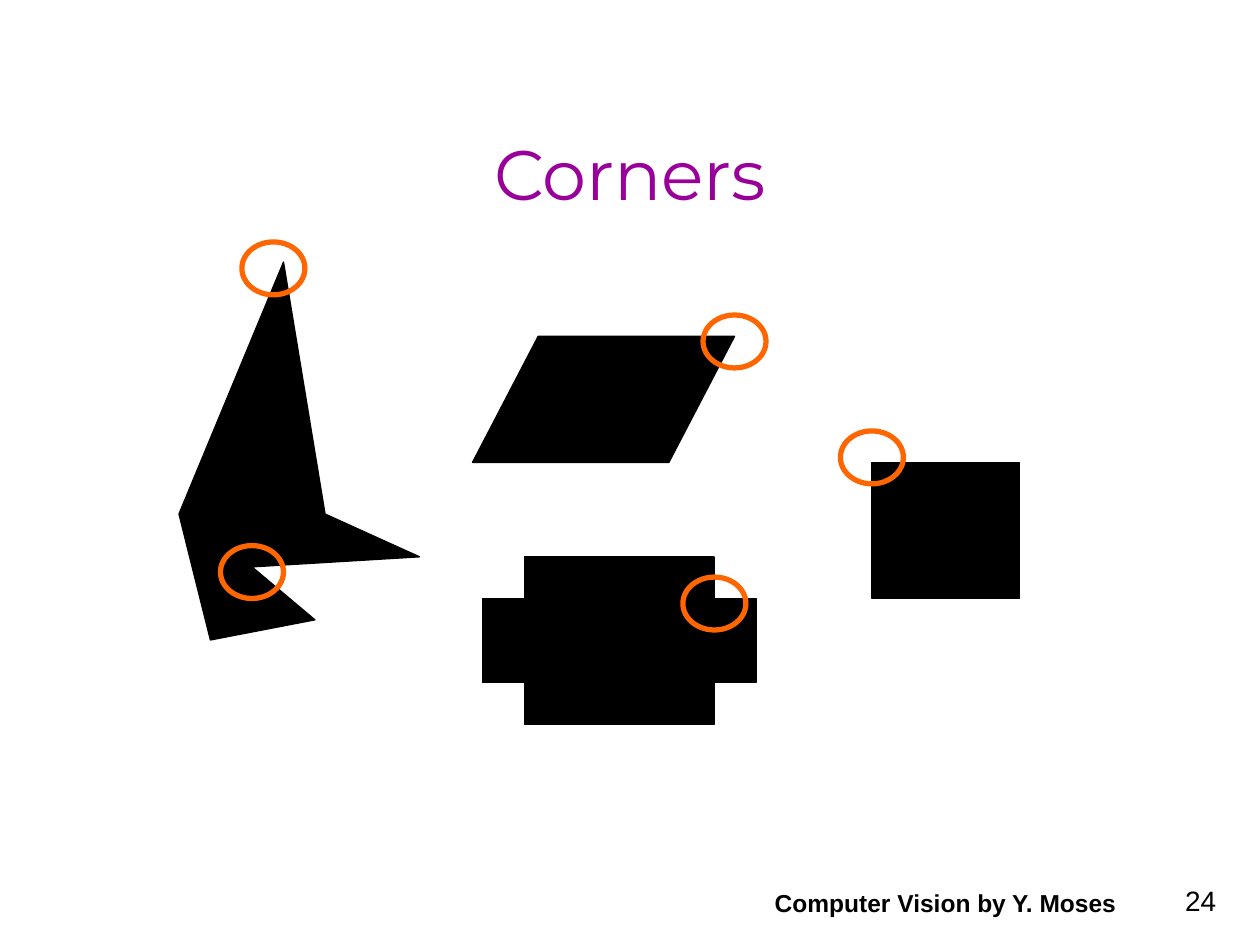
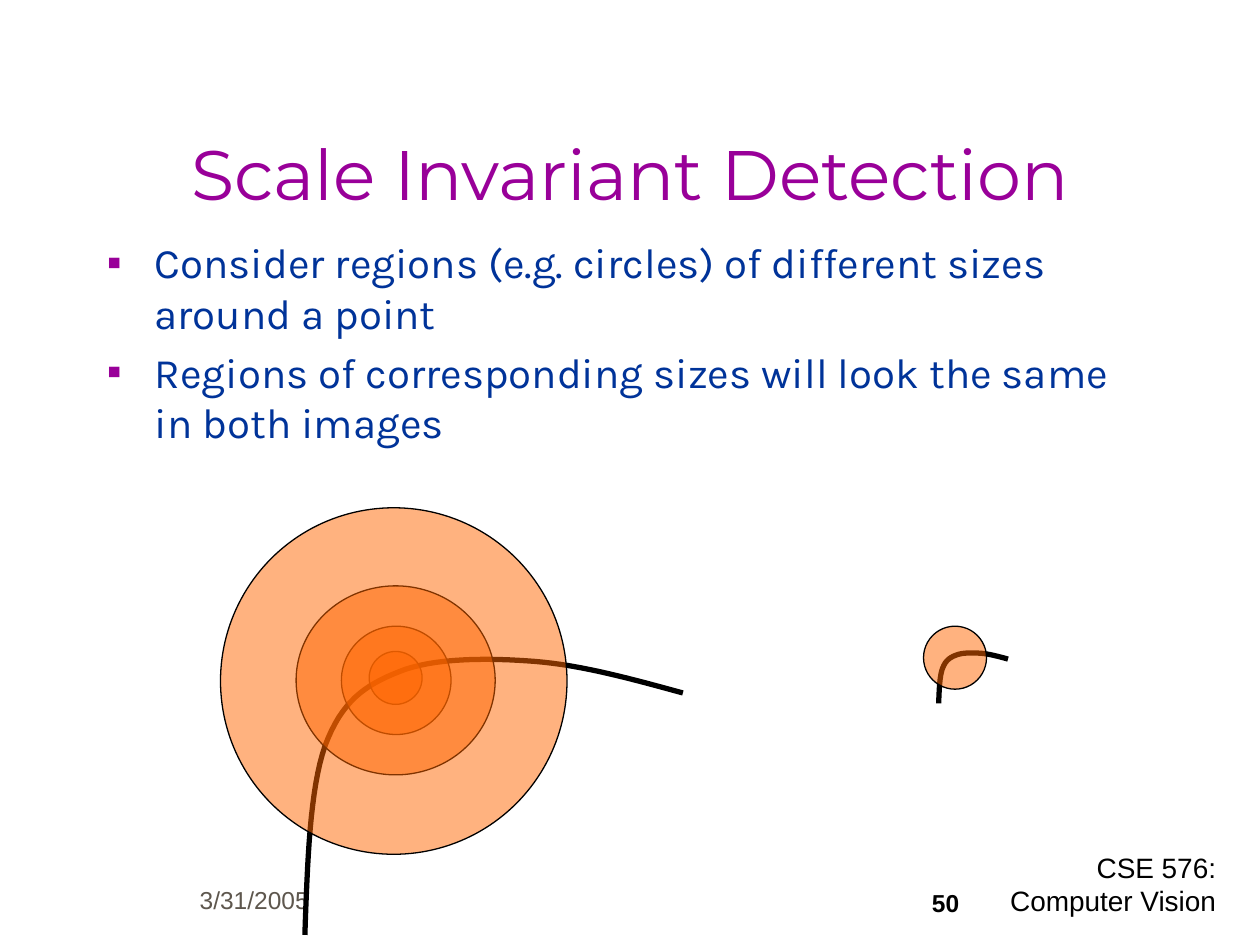
from dataclasses import dataclass

from lxml import etree
from pptx import Presentation
from pptx.dml.color import RGBColor
from pptx.enum.shapes import MSO_SHAPE
from pptx.enum.text import MSO_ANCHOR, PP_ALIGN
from pptx.oxml.ns import qn
from pptx.util import Inches, Pt

RECTANGLE, ELLIPSE = MSO_SHAPE.RECTANGLE, MSO_SHAPE.OVAL
PARALLELOGRAM, CROSS = MSO_SHAPE.PARALLELOGRAM, MSO_SHAPE.CROSS
TOP, BOTTOM = MSO_ANCHOR.TOP, MSO_ANCHOR.BOTTOM
LEFT, CENTER, RIGHT = PP_ALIGN.LEFT, PP_ALIGN.CENTER, PP_ALIGN.RIGHT


@dataclass(frozen=True)
class Theme:
    black: str = "000000"
    purple: str = "990099"
    blue: str = "003399"
    orange: str = "FF6600"
    gray: str = "5E574E"
    title_font: str = "Montserrat"
    body_font: str = "Karla"
    footer_font: str = "Arial"
    title_size: int = 40
    body_size: int = 24
    number_size: int = 16
    footer_size: int = 14
    thin: float = 0.75
    thick: float = 3


THEME = Theme()
DATE_AREA = (0.47, 6.81, 2.08, 0.5)
RIGHT_AREA = (7.67, 6.83, 2.08, 0.5)
MIDDLE_AREA = (5.92, 6.83, 3.17, 0.5)


def write_text(box, *texts, font, size, color, bold=False, align=LEFT,
               anchor=TOP, bullet=None, gap=0):
    """Fill a text box with one paragraph for each text."""
    frame = box.text_frame
    frame.word_wrap = True
    frame.vertical_anchor = anchor
    for index, text in enumerate(texts):
        para = frame.paragraphs[0] if index == 0 else frame.add_paragraph()
        para.alignment = align
        if index:
            para.space_before = Pt(gap)
        if bullet:
            add_bullet(para, bullet)
        span = para.add_run()
        span.text = text
        span.font.name = font
        span.font.size = Pt(size)
        span.font.bold = bold
        span.font.color.rgb = RGBColor.from_string(color)


def add_bullet(para, symbol):
    properties = para._p.get_or_add_pPr()
    properties.set("marL", str(Inches(0.38)))
    properties.set("indent", str(Inches(-0.38)))
    bullet_color = etree.SubElement(properties, qn("a:buClr"))
    etree.SubElement(bullet_color, qn("a:srgbClr"), val=THEME.purple)
    etree.SubElement(properties, qn("a:buFont"), typeface=THEME.footer_font)
    etree.SubElement(properties, qn("a:buChar"), char=symbol)


def curve_points(start, segments, steps=16):
    """Sample a chain of cubic curves, each given by three points."""
    points = [start]
    for first, second, end in segments:
        for step in range(1, steps + 1):
            t = step / steps
            weights = ((1 - t) ** 3, 3 * t * (1 - t) ** 2,
                       3 * t * t * (1 - t), t ** 3)
            corners = (start, first, second, end)
            points.append(tuple(
                sum(weight * corner[axis]
                    for weight, corner in zip(weights, corners))
                for axis in (0, 1)))
        start = end
    return points


class Builder:
    def __init__(self, deck, theme):
        self.deck, self.theme = deck, theme
        self.page = None

    def new_page(self, title):
        self.page = self.deck.slides.add_slide(self.deck.slide_layouts[6])
        theme = self.theme
        self.text((0.75, 0.5, 8.5, 1.25), title, font=theme.title_font,
                  size=theme.title_size, color=theme.purple, align=CENTER,
                  anchor=BOTTOM)

    def text(self, area, *texts, **style):
        box = self.page.shapes.add_textbox(*map(Inches, area))
        write_text(box, *texts, **style)

    def footer(self, area, text, **changes):
        style = dict(font=self.theme.footer_font, size=self.theme.footer_size,
                     color=self.theme.black, align=RIGHT, anchor=BOTTOM)
        self.text(area, text, **{**style, **changes})

    def bullets(self, area, *texts):
        theme = self.theme
        self.text(area, *texts, font=theme.body_font, size=theme.body_size,
                  color=theme.blue, bullet="▪", gap=5)

    def group(self):
        return self.page.shapes.add_group_shape().shapes

    def paint(self, shape, fill, line, width, alpha=None):
        shape.shadow.inherit = False
        if fill:
            shape.fill.solid()
            shape.fill.fore_color.rgb = RGBColor.from_string(fill)
        else:
            shape.fill.background()
        if alpha is not None:
            tint = shape._element.spPr.find(qn("a:solidFill"))[0]
            etree.SubElement(tint, qn("a:alpha"), val=str(alpha * 1000))
        shape.line.color.rgb = RGBColor.from_string(line)
        shape.line.width = Pt(width)

    def solid(self, kind, area, adjustment=None):
        shape = self.page.shapes.add_shape(kind, *map(Inches, area))
        if adjustment is not None:
            shape.adjustments[0] = adjustment
        self.paint(shape, self.theme.black, self.theme.black, self.theme.thin)

    def ring(self, left, top):
        area = (left, top, 0.5, 0.42)
        shape = self.page.shapes.add_shape(ELLIPSE, *map(Inches, area))
        self.paint(shape, None, self.theme.orange, self.theme.thick)

    def region(self, area, shapes=None):
        shapes = shapes or self.page.shapes
        shape = shapes.add_shape(ELLIPSE, *map(Inches, area))
        self.paint(shape, self.theme.orange, self.theme.black,
                   self.theme.thin, alpha=50)

    def outline(self, points, closed, shapes=None):
        shapes = shapes or self.page.shapes
        start, *rest = [(Inches(x), Inches(y)) for x, y in points]
        pen = shapes.build_freeform(*start)
        pen.add_line_segments(rest, close=closed)
        theme = self.theme
        self.paint(pen.convert_to_shape(), theme.black if closed else None,
                   theme.black, theme.thin if closed else theme.thick)


def corners_page(builder):
    theme = builder.theme
    builder.new_page("Corners")
    builder.footer(RIGHT_AREA, "24", size=theme.number_size)
    builder.footer(MIDDLE_AREA, "Computer Vision by Y. Moses", bold=True,
                   align=CENTER)

    # Black figures
    builder.solid(RECTANGLE, (6.92, 3.67, 1.17, 1.08))
    builder.solid(PARALLELOGRAM, (3.75, 2.67, 2.08, 1), 0.521)
    builder.solid(CROSS, (3.83, 4.42, 2.17, 1.33), 0.25)
    builder.outline([(1.42, 4.08), (1.67, 5.08), (2.5, 4.92), (2, 4.5),
                     (3.33, 4.42), (2.58, 4.08), (2.25, 2.08)], closed=True)

    # Rings that mark corners
    for left, top in [(6.67, 3.42), (1.92, 1.92), (1.75, 4.33),
                      (5.58, 2.5), (5.42, 4.58)]:
        builder.ring(left, top)


def scale_page(builder):
    theme = builder.theme
    builder.new_page("Scale Invariant Detection")
    builder.footer(DATE_AREA, "3/31/2005", color=theme.gray)
    builder.footer(RIGHT_AREA, "CSE 576: Computer Vision",
                   size=theme.number_size)
    builder.footer(MIDDLE_AREA, "50", bold=True, align=CENTER)
    builder.bullets(
        (0.75, 1.83, 8.5, 4.5),
        "Consider regions (e.g. circles) of different sizes around a point",
        "Regions of corresponding sizes will look the same in both images")

    # Large curve with regions of growing size
    curve = curve_points((2.42, 7.42), [
        ((2.44, 6.84), (2.46, 6.26), (2.58, 5.92)),
        ((2.71, 5.57), (2.89, 5.44), (3.17, 5.33)),
        ((3.44, 5.22), (3.88, 5.22), (4.25, 5.25)),
        ((4.62, 5.28), (5.02, 5.39), (5.42, 5.5))])
    builder.outline(curve, closed=False)
    for area in [(2.93, 5.17, 0.42, 0.42), (2.71, 4.97, 0.87, 0.86),
                 (2.35, 4.65, 1.58, 1.5), (1.75, 4.03, 2.75, 2.75)]:
        builder.region(area)

    # The same curve scaled down, with its matching region
    scale = 0.55 / 3
    small_curve = [(7.45 + (x - 2.42) * scale, 5.18 + (y - 5.22) * scale)
                   for x, y in curve]
    group = builder.group()
    builder.outline(small_curve, closed=False, shapes=group)
    builder.region((7.33, 4.97, 0.5, 0.5), shapes=group)


def main():
    deck = Presentation()
    deck.slide_width, deck.slide_height = Inches(10), Inches(7.5)
    builder = Builder(deck, THEME)
    corners_page(builder)
    scale_page(builder)
    deck.save("out.pptx")


if __name__ == "__main__":
    main()
